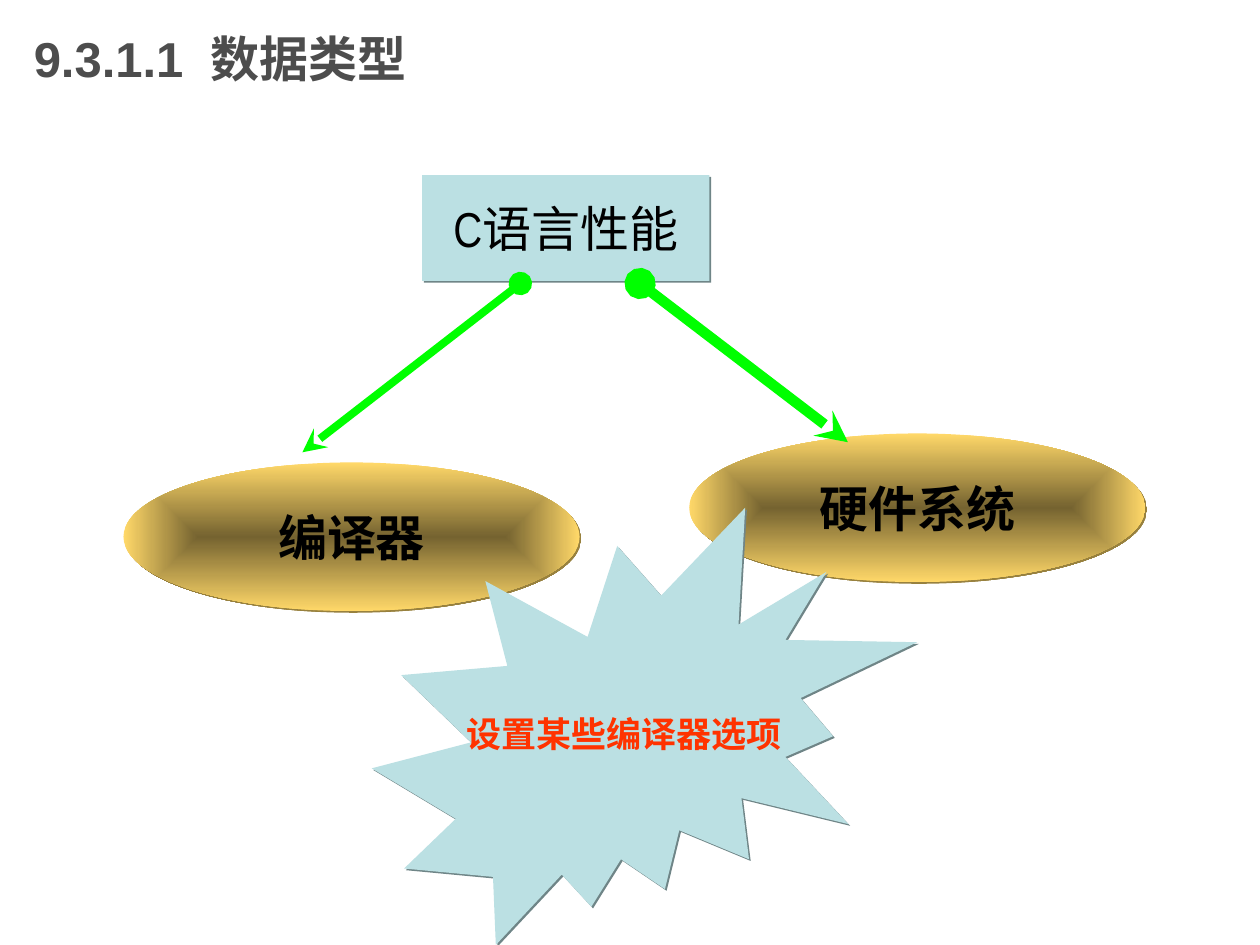
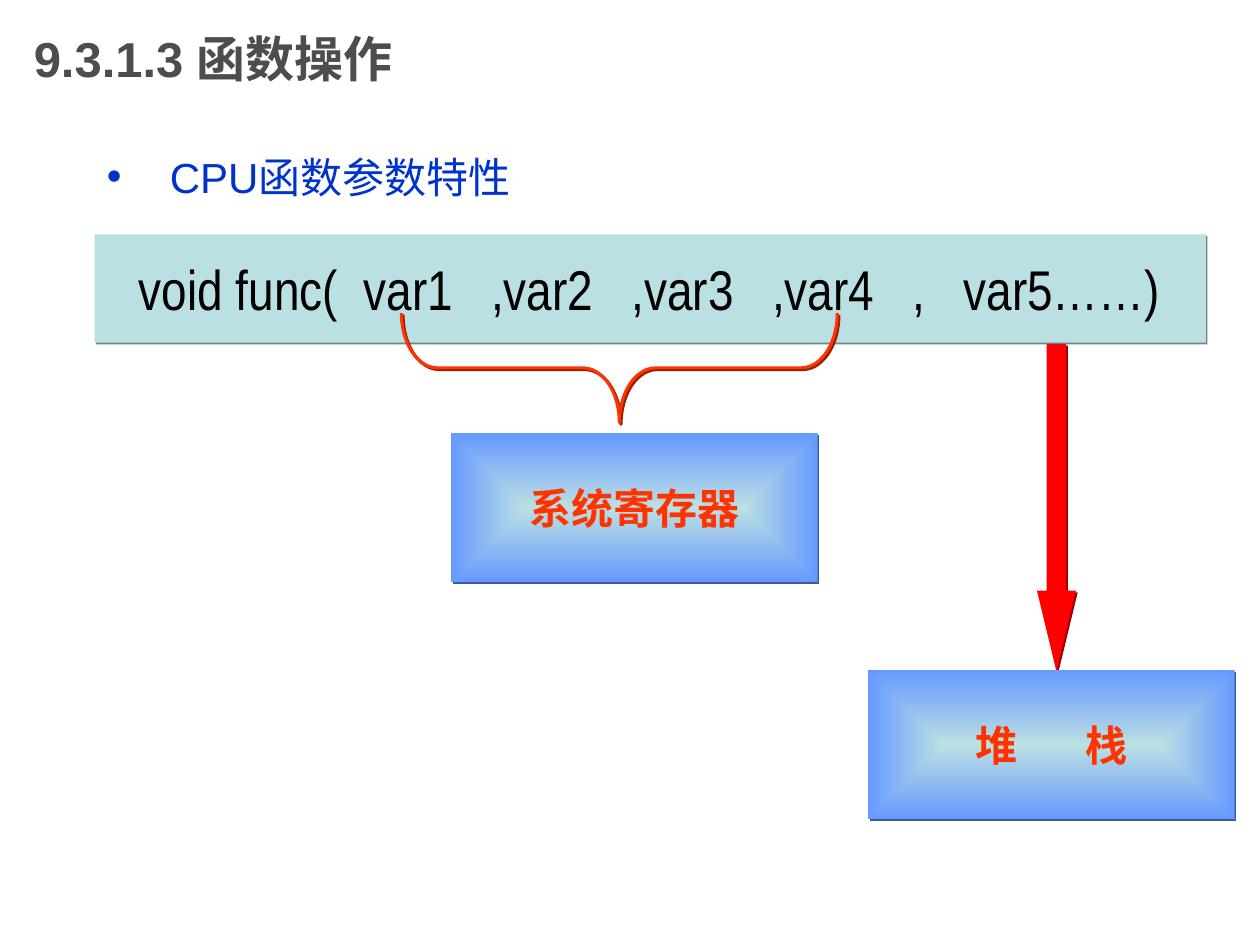
from lxml.etree import SubElement
from pptx import Presentation
from pptx.dml.color import RGBColor as RGB
from pptx.enum.shapes import MSO_CONNECTOR, MSO_SHAPE as SHAPE
from pptx.enum.text import MSO_ANCHOR as ANCHOR, PP_ALIGN as ALIGN
from pptx.oxml.ns import qn
from pptx.util import Inches, Pt

COLORS = {
    "title": "4D4D4D", "text": "000000", "bullet": "0033CC", "accent": "FF3300",
    "pale": "BBE0E3", "pale_shadow": "6F8587",
    "bronze": "756330", "gold": "FFD869", "gold_shadow": "98813E",
    "blue": "6699FF", "blue_shadow": "3C5B98",
    "link": "00FF00", "arrow": "FF0000", "arrow_shadow": "980000",
    "brace_shadow": "981E00",
}
GOLD = ("bronze", "gold")
BLUE = ("pale", "blue")


def write(s, text, size, color, font="Arial Narrow", bold=False, gap=0):
    """Fill one paragraph; gap widens its first space by that many points."""
    p = s.text_frame.paragraphs[0]
    for part in text.partition(" ") if gap else [text]:
        r = p.add_run()
        r.text = part
        r.font.name, r.font.size, r.font.bold = font, Pt(size), bold
        r.font.color.rgb = RGB.from_string(COLORS[color])
        if part == " ":
            r.font._element.set("spc", str(gap * 100))
    return p


def add_block(slide, kind, box, fill, shadow):
    """Add a borderless shape with a hard shadow; a pair of fills runs from centre to rim."""
    s = slide.shapes.add_shape(kind, *map(Inches, box))
    s.line.fill.background()
    if fill is None:
        s.fill.background()
    elif isinstance(fill, tuple):
        s.fill.gradient()
        for stop, name in zip(s.fill.gradient_stops, fill):
            stop.color.rgb = RGB.from_string(COLORS[name])
        grad = s._element.spPr.find(qn("a:gradFill"))
        grad.remove(grad.find(qn("a:lin")))
        path = SubElement(grad, qn("a:path"), path="rect")
        SubElement(path, qn("a:fillToRect"), l="50000", t="50000", r="50000", b="50000")
    else:
        s.fill.solid()
        s.fill.fore_color.rgb = RGB.from_string(COLORS[fill])
    s.shadow.inherit = False
    effects = s._element.spPr.find(qn("a:effectLst"))
    outer = SubElement(effects, qn("a:outerShdw"), dist=str(Pt(1.4)), dir="2700000",
                       algn="ctr", rotWithShape="0")
    SubElement(outer, qn("a:srgbClr"), val=COLORS[shadow])
    tf = s.text_frame
    tf.word_wrap = False
    tf.vertical_anchor = ANCHOR.MIDDLE
    tf.paragraphs[0].alignment = ALIGN.CENTER
    return s


prs = Presentation()
prs.slide_width, prs.slide_height = Inches(10), Inches(7.5)

slides = []
for title, gap in [("9.3.1.1 数据类型", 8), ("9.3.1.3 函数操作", 0)]:
    slide = prs.slides.add_slide(prs.slide_layouts[6])
    s = slide.shapes.add_textbox(Inches(0.17), 0, Inches(7.5), Inches(0.92))
    s.text_frame.word_wrap = True
    s.text_frame.vertical_anchor = ANCHOR.MIDDLE
    write(s, title, 28, "title", font="Arial", bold=True, gap=gap)
    slides.append(slide)
types_slide, function_slide = slides

# Slide 1: what C performance depends on
s = add_block(types_slide, SHAPE.RECTANGLE, (3.35, 1.39, 2.28, 0.84), "pale", "pale_shadow")
write(s, "C语言性能", 28, "text")

for label, left, top in [("编译器", 0.98, 3.67), ("硬件系统", 5.47, 3.44)]:
    s = add_block(types_slide, SHAPE.OVAL, (left, top, 3.62, 1.18), GOLD, "gold_shadow")
    write(s, label, 28, "text", bold=True)

for ends, width in [((4.13, 2.25, 2.4, 3.59), 4.5), ((5.08, 2.25, 6.73, 3.51), 6)]:
    s = types_slide.shapes.add_connector(MSO_CONNECTOR.STRAIGHT, *map(Inches, ends))
    s.line.width = Pt(width)
    s.line.color.rgb = RGB.from_string(COLORS["link"])
    spPr = s._element.spPr
    ln = spPr.find(qn("a:ln"))
    SubElement(ln, qn("a:headEnd"), type="oval")
    SubElement(ln, qn("a:tailEnd"), type="stealth")
    SubElement(spPr, qn("a:effectLst"))

s = add_block(types_slide, SHAPE.EXPLOSION2, (2.95, 4.03, 4.33, 3.47), "pale", "pale_shadow")
write(s, "设置某些编译器选项", 20, "accent", bold=True)

# Slide 2: where function arguments are stored
s = function_slide.shapes.add_textbox(Inches(0.75), Inches(1.15), Inches(8.5), Inches(0.63))
s.text_frame.word_wrap = True
pPr = s.text_frame.paragraphs[0]._p.get_or_add_pPr()
pPr.set("marL", str(Inches(0.5)))
pPr.set("indent", str(Inches(-0.5)))
SubElement(SubElement(pPr, qn("a:buClr")), qn("a:srgbClr"), val=COLORS["bullet"])
SubElement(pPr, qn("a:buFont"), typeface="Arial")
SubElement(pPr, qn("a:buChar"), char="•")
write(s, "CPU函数参数特性", 24, "bullet", font="Arial")

s = add_block(function_slide, SHAPE.RECTANGLE, (0.75, 1.86, 8.82, 0.86), "pale", "pale_shadow")
write(s, "void func(  var1   ,var2   ,var3   ,var4   ,   var5……)", 32, "text")

brace = add_block(function_slide, SHAPE.RIGHT_BRACE, (4.48, 1.19, 0.87, 3.46), None, "brace_shadow")
brace.rotation = 90
brace.adjustments[0] = 0.33
brace.line.width = Pt(1.75)
brace.line.color.rgb = RGB.from_string(COLORS["accent"])

arrow = add_block(function_slide, SHAPE.DOWN_ARROW, (8.23, 2.73, 0.31, 2.6), "arrow", "arrow_shadow")
arrow.adjustments[1] = 2.07

for label, left, top, gap in [("系统寄存器", 3.58, 3.44, 0), ("堆 栈", 6.89, 5.32, 33)]:
    s = add_block(function_slide, SHAPE.RECTANGLE, (left, top, 2.91, 1.18), BLUE, "blue_shadow")
    write(s, label, 24, "accent", bold=True, gap=gap)

prs.save("out.pptx")
